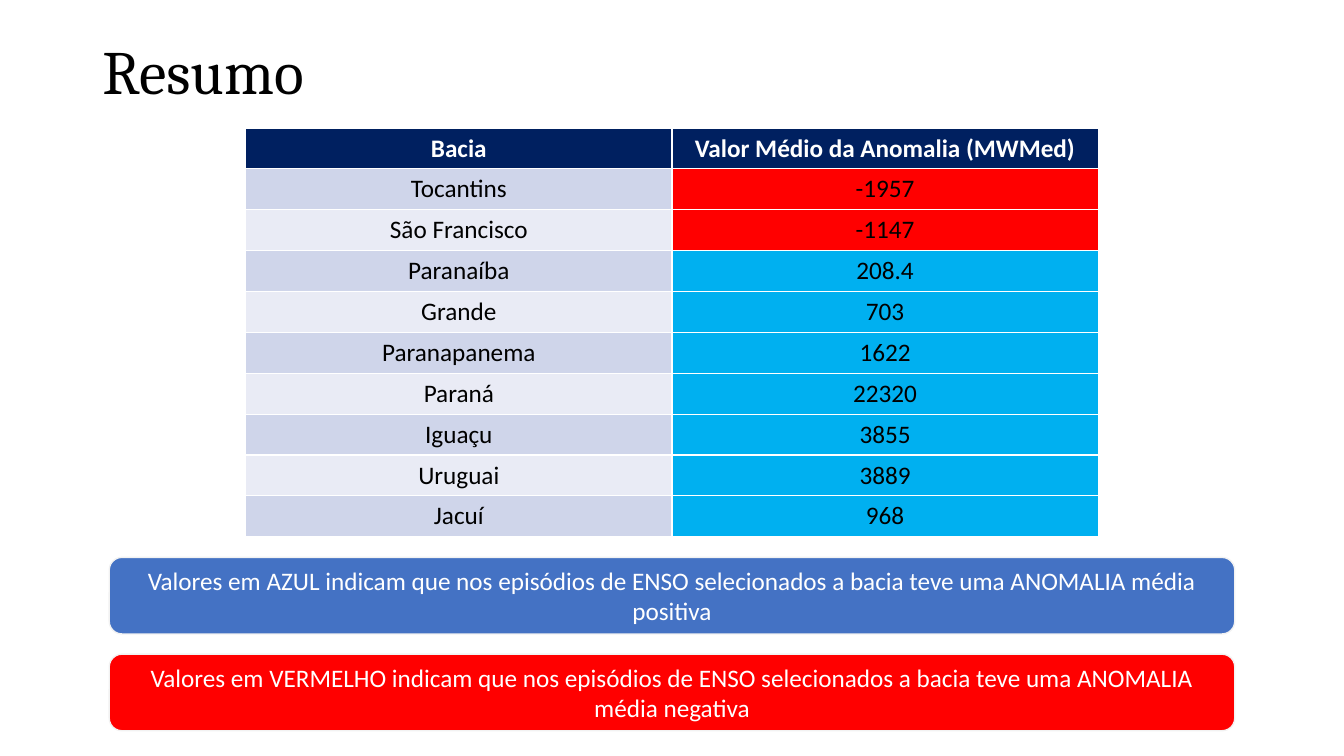
"""Build the summary slide of mean anomaly values by river basin."""
from dataclasses import dataclass

import pptx
import pptx.dml.color
import pptx.enum.shapes
import pptx.enum.text
import pptx.shapes.autoshape
import pptx.slide
import pptx.text.text
import pptx.util

GRID_COLUMNS = 160
GRID_ROWS = 90
GRID_UNIT = pptx.util.Inches(1) // 12


@dataclass(frozen=True)
class Theme:
    """Fonts, type sizes and colours of the slide."""

    title_font: str = "Cambria"
    body_font: str = "Calibri"
    title_size: int = 44
    body_size: int = 18
    dark_text: str = "000000"
    light_text: str = "FFFFFF"
    header: str = "002060"
    bands: tuple[str, str] = ("CFD5EA", "E9EBF5")
    positive: str = "00B0F0"
    negative: str = "FF0000"
    positive_note: str = "4472C4"
    outline: str = "F2F2F2"


@dataclass(frozen=True)
class CentredBox:
    """A horizontally centred area measured in grid units."""

    top: float
    width: float
    height: float

    def bounds(self) -> tuple[int, int, int, int]:
        """Return left, top, width and height as slide lengths."""
        left = (GRID_COLUMNS - self.width) / 2
        return tuple(round(value * GRID_UNIT) for value in (left, self.top, self.width, self.height))


@dataclass(frozen=True)
class Basin:
    """A river basin and its mean anomaly."""

    name: str
    anomaly: float


@dataclass(frozen=True)
class Note:
    """An explanation of one value colour."""

    colour_name: str
    sign: str
    fill: str


THEME = Theme()
TITLE_BOX = CentredBox(0.12, 138, 17.4)
TABLE_BOX = CentredBox(15.24, 101.5, 48)
NOTE_TOP, NOTE_PITCH, NOTE_WIDTH, NOTE_HEIGHT = 66.36, 11.52, 134, 9.12

HEADINGS = ("Bacia", "Valor Médio da Anomalia (MWMed)")
BASINS = (
    Basin("Tocantins", -1957),
    Basin("São Francisco", -1147),
    Basin("Paranaíba", 208.4),
    Basin("Grande", 703),
    Basin("Paranapanema", 1622),
    Basin("Paraná", 22320),
    Basin("Iguaçu", 3855),
    Basin("Uruguai", 3889),
    Basin("Jacuí", 968),
)
NOTES = (
    Note("AZUL", "positiva", THEME.positive_note),
    Note("VERMELHO", "negativa", THEME.negative),
)


def colour(code: str) -> pptx.dml.color.RGBColor:
    """Turn a hexadecimal code into a colour."""
    return pptx.dml.color.RGBColor.from_string(code)


def write(
    frame: pptx.text.text.TextFrame,
    text: str,
    text_colour: str,
    font: str = THEME.body_font,
    size: int = THEME.body_size,
    bold: bool = False,
    alignment: pptx.enum.text.PP_ALIGN = pptx.enum.text.PP_ALIGN.CENTER,
) -> None:
    """Set the text of a frame and format its runs."""
    frame.text = text
    for paragraph in frame.paragraphs:
        paragraph.alignment = alignment
        for run in paragraph.runs:
            run.font.name = font
            run.font.size = pptx.util.Pt(size)
            run.font.bold = bold
            run.font.color.rgb = colour(text_colour)


def draw_title(slide: pptx.slide.Slide) -> None:
    """Place and format the title."""
    title = slide.shapes.title
    title.left, title.top, title.width, title.height = TITLE_BOX.bounds()
    frame = title.text_frame
    write(frame, "Resumo", THEME.dark_text, THEME.title_font, THEME.title_size,
          alignment=pptx.enum.text.PP_ALIGN.LEFT)
    frame.auto_size = pptx.enum.text.MSO_AUTO_SIZE.NONE
    frame.vertical_anchor = pptx.enum.text.MSO_ANCHOR.MIDDLE
    frame.paragraphs[0].line_spacing = 0.9


def draw_table(slide: pptx.slide.Slide) -> None:
    """Draw the basins with their anomalies coloured by sign."""
    table = slide.shapes.add_table(len(BASINS) + 1, len(HEADINGS), *TABLE_BOX.bounds()).table
    rows = [(HEADINGS, (THEME.header, THEME.header))]
    for index, basin in enumerate(BASINS):
        value_fill = THEME.negative if basin.anomaly < 0 else THEME.positive
        rows.append(((basin.name, str(basin.anomaly)), (THEME.bands[index % 2], value_fill)))
    for row_index, (texts, fills) in enumerate(rows):
        is_header = row_index == 0
        text_colour = THEME.light_text if is_header else THEME.dark_text
        for column_index, (text, fill) in enumerate(zip(texts, fills)):
            cell = table.cell(row_index, column_index)
            cell.fill.solid()
            cell.fill.fore_color.rgb = colour(fill)
            write(cell.text_frame, text, text_colour, bold=is_header)


def draw_note(slide: pptx.slide.Slide, note: Note, box: CentredBox) -> None:
    """Draw one rounded explanation bar."""
    shape = slide.shapes.add_shape(pptx.enum.shapes.MSO_SHAPE.ROUNDED_RECTANGLE, *box.bounds())
    shape.shadow.inherit = False
    shape.fill.solid()
    shape.fill.fore_color.rgb = colour(note.fill)
    shape.line.color.rgb = colour(THEME.outline)
    shape.line.width = pptx.util.Pt(1)
    shape.text_frame.word_wrap = True
    shape.text_frame.vertical_anchor = pptx.enum.text.MSO_ANCHOR.MIDDLE
    text = (f"Valores em {note.colour_name} indicam que nos episódios de ENSO selecionados "
            f"a bacia teve uma ANOMALIA média {note.sign}")
    write(shape.text_frame, text, THEME.light_text)


def main() -> None:
    """Build and save the presentation."""
    presentation = pptx.Presentation()
    presentation.slide_width = GRID_COLUMNS * GRID_UNIT
    presentation.slide_height = GRID_ROWS * GRID_UNIT
    title_only = presentation.slide_layouts.get_by_name("Title Only")
    slide = presentation.slides.add_slide(title_only)
    draw_title(slide)
    draw_table(slide)
    for index, note in enumerate(NOTES):
        draw_note(slide, note, CentredBox(NOTE_TOP + index * NOTE_PITCH, NOTE_WIDTH, NOTE_HEIGHT))
    presentation.save("out.pptx")


main()
